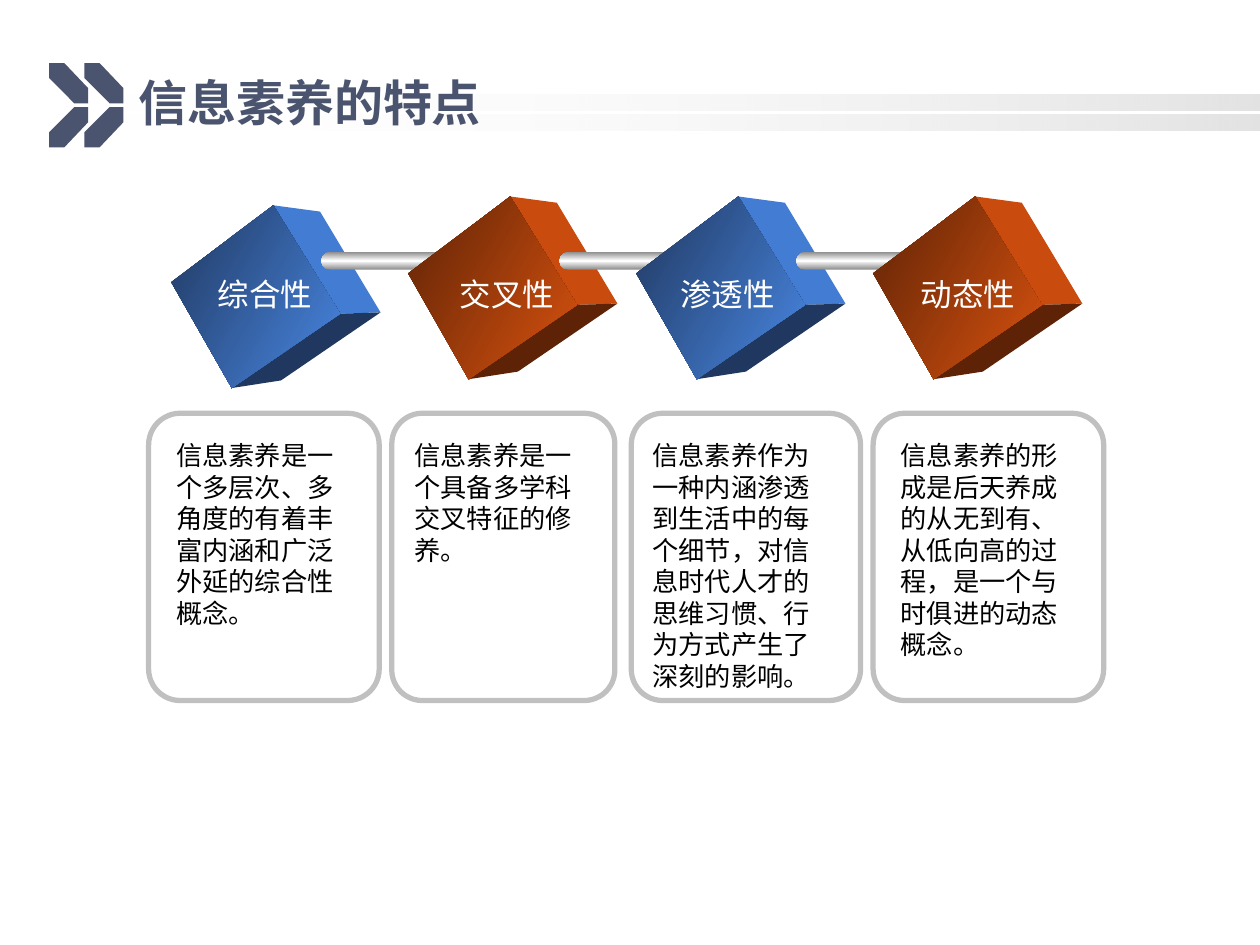
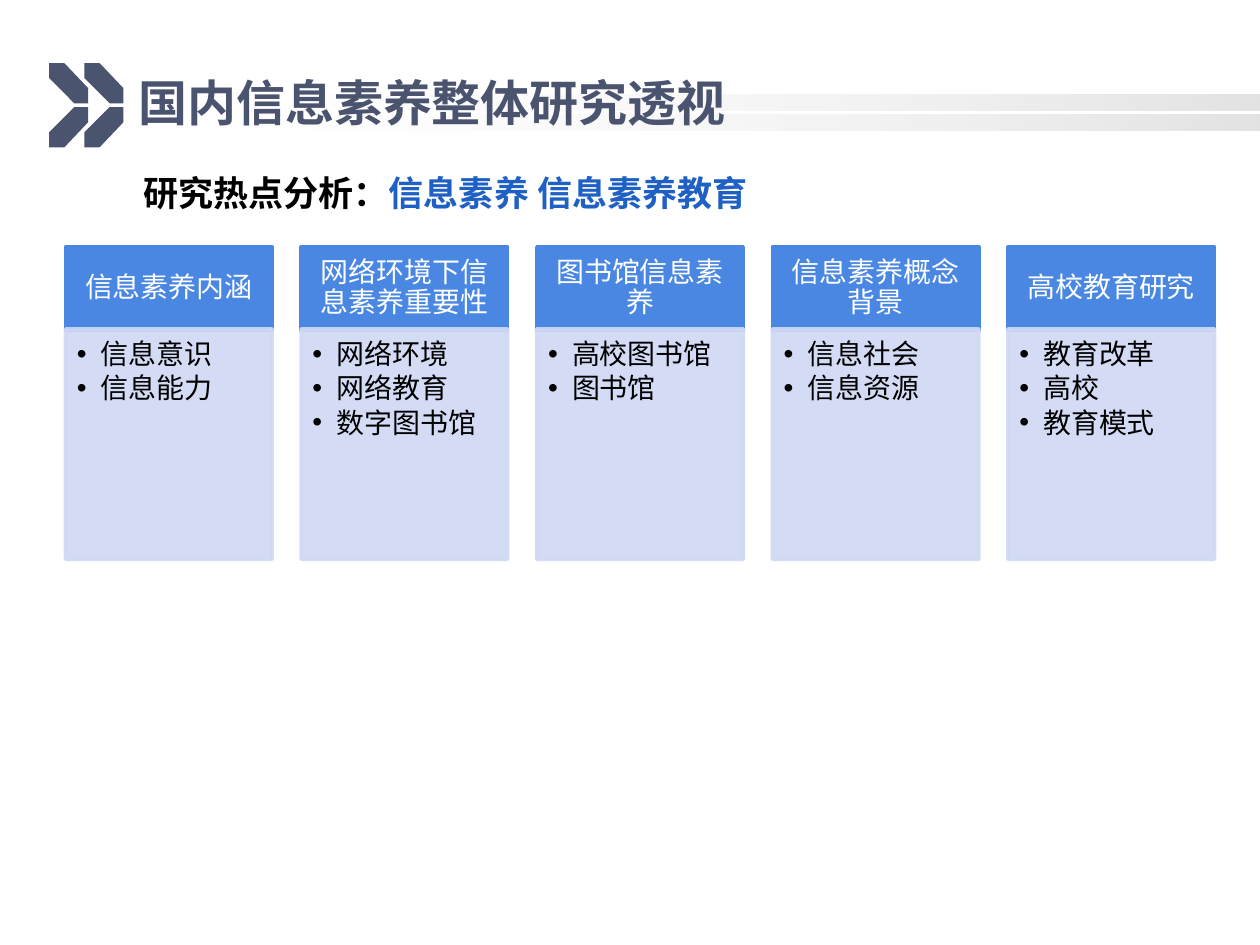
"""Build two slides on information literacy: its traits and its research hot spots."""
from lxml import etree
from pptx import Presentation
from pptx.dml.color import RGBColor
from pptx.enum.shapes import MSO_SHAPE
from pptx.enum.text import MSO_ANCHOR, PP_ALIGN
from pptx.oxml.ns import qn
from pptx.util import Inches, Pt

RECT = MSO_SHAPE.RECTANGLE
ROUND = MSO_SHAPE.ROUNDED_RECTANGLE
TOP, MID = MSO_ANCHOR.TOP, MSO_ANCHOR.MIDDLE
LEFT, CENTER = PP_ALIGN.LEFT, PP_ALIGN.CENTER
SANS, NOTO = "Arial", "Noto Sans CJK SC"

COLORS = {
    "slate": "4B546F", "white": "FFFFFF", "black": "000000", "band": "969696",
    "frame": "C0C0C0", "steel": "8C8C8C", "link": "1E60C3",
    "head": "4987E3", "pale": "D0D9F4",
    "blue": "4987E3", "blue_side": "437DD3", "blue_dark": "20385F",
    "red": "D9520F", "red_side": "C94B0D", "red_dark": "5E2306",
}

TRAITS = [
    {"name": "综合性", "hue": "blue", "cube": (0, 0), "label": 1.63,
     "card": (1.18, 1.83), "note": 1.3, "rod": (2.55, 1.02),
     "text": "信息素养是一个多层次、多角度的有着丰富内涵和广泛外延的综合性概念。"},
    {"name": "交叉性", "hue": "red", "cube": (1.88, -0.07), "label": 3.55,
     "card": (3.11, 1.77), "note": 3.19, "rod": (4.44, 1.01),
     "text": "信息素养是一个具备多学科交叉特征的修养。"},
    {"name": "渗透性", "hue": "blue", "cube": (3.69, -0.07), "label": 5.3,
     "card": (5.01, 1.82), "note": 5.08, "rod": (6.32, 1.33),
     "text": "信息素养作为一种内涵渗透到生活中的每个细节，对信息时代人才的思维习惯、行为方式产生了深刻的影响。"},
    {"name": "动态性", "hue": "red", "cube": (5.57, -0.07), "label": 7.21,
     "card": (6.93, 1.83), "note": 7.05, "rod": None,
     "text": "信息素养的形成是后天养成的从无到有、从低向高的过程，是一个与时俱进的动态概念。"},
]

TOPICS = [
    ("信息素养内涵", ["信息意识", "信息能力"]),
    ("网络环境下信息素养重要性", ["网络环境", "网络教育", "数字图书馆"]),
    ("图书馆信息素养", ["高校图书馆", "图书馆"]),
    ("信息素养概念背景", ["信息社会", "信息资源"]),
    ("高校教育研究", ["教育改革", "高校", "教育模式"]),
]

PEAK, EDGE, FOOT, WEST = (2.17, 1.63), (2.7, 2.49), (1.84, 3.08), (1.36, 2.24)
BACK, EAST, BASE = (2.54, 1.68), (3.02, 2.48), (2.23, 3.02)
ARROW = [(0.39, 0.5), (0.39, 0.62), (0.59, 0.82), (0.7, 0.82), (0.7, 0.7), (0.51, 0.5)]


def rgb(name):
    return RGBColor.from_string(COLORS[name])


def paint(shape, fill=None, line=None, width=1):
    shape.shadow.inherit = False
    if fill:
        shape.fill.solid()
        shape.fill.fore_color.rgb = rgb(fill)
    else:
        shape.fill.background()
    if line:
        shape.line.color.rgb = rgb(line)
        shape.line.width = Pt(width)
    else:
        shape.line.fill.background()
    return shape


def fade(shape, alpha):
    for tint in shape.element.spPr.iter(qn("a:srgbClr")):
        etree.SubElement(tint, qn("a:alpha")).set("val", str(alpha * 1000))


def blend(shape, stops, angle):
    solid = shape.element.spPr.find(qn("a:solidFill"))
    grad = etree.Element(qn("a:gradFill"), rotWithShape="1")
    items = etree.SubElement(grad, qn("a:gsLst"))
    for pos, name, alpha in stops:
        stop = etree.SubElement(items, qn("a:gs"), pos=str(pos * 1000))
        tint = etree.SubElement(stop, qn("a:srgbClr"), val=COLORS[name])
        etree.SubElement(tint, qn("a:alpha"), val=str(alpha * 1000))
    etree.SubElement(grad, qn("a:lin"), ang=str(angle * 60000), scaled="0")
    solid.getparent().replace(solid, grad)


def add_box(slide, kind, x, y, w, h, *style):
    shape = slide.shapes.add_shape(kind, Inches(x), Inches(y), Inches(w), Inches(h))
    return paint(shape, *style)


def add_poly(slide, points, fill):
    spots = [(Inches(x), Inches(y)) for x, y in points]
    pen = slide.shapes.build_freeform(*spots[0], scale=1.0)
    pen.add_line_segments(spots[1:], close=True)
    return paint(pen.convert_to_shape(), fill)


def add_run(para, text, size, color, font=SANS, bold=False):
    run = para.add_run()
    run.text = text
    run.font.size = Pt(size)
    run.font.bold = bold
    run.font.name = font
    run.font.color.rgb = rgb(color)
    etree.SubElement(run.font._element, qn("a:ea"), typeface=NOTO)


def set_frame(shape, anchor=TOP, pads=(0.1, 0.05, 0.1, 0.05), wrap=True):
    frame = shape.text_frame
    frame.word_wrap = wrap
    frame.vertical_anchor = anchor
    (frame.margin_left, frame.margin_top,
     frame.margin_right, frame.margin_bottom) = map(Inches, pads)
    return frame


def add_text(slide, x, y, w, h, runs, anchor=TOP, wrap=True):
    box = slide.shapes.add_textbox(Inches(x), Inches(y), Inches(w), Inches(h))
    para = set_frame(box, anchor, wrap=wrap).paragraphs[0]
    for run in runs:
        add_run(para, *run)


def add_base(deck, title):
    slide = deck.slides.add_slide(deck.slide_layouts[6])
    for y in (0.75, 0.91):
        band = add_box(slide, RECT, 0.75, y, 9.25, 0.13, "band")
        blend(band, [(0, "white", 0), (100, "band", 27)], 0)
    for dx in (0, 0.28):
        add_poly(slide, [(x + dx, y) for x, y in ARROW], "slate")
        add_poly(slide, [(x + dx, 1.67 - y) for x, y in ARROW], "slate")
    add_text(slide, 1, 0.5, 8.25, 0.62, [(title, 28, "slate", SANS, True)], MID)
    return slide


def add_cube(slide, hue, dx, dy):
    faces = [
        ([PEAK, BACK, EAST, EDGE], hue + "_side"),
        ([EDGE, EAST, BASE, FOOT], hue + "_dark"),
        ([PEAK, EDGE, FOOT, WEST], hue),
    ]
    for points, fill in faces:
        face = add_poly(slide, [(x + dx, y + dy) for x, y in points], fill)
    blend(face, [(0, hue + "_dark", 100), (100, hue, 100)], 30)


def add_traits(deck):
    slide = add_base(deck, "信息素养的特点")
    for trait in TRAITS:
        x, w = trait["card"]
        card = add_box(slide, ROUND, x, 3.28, w, 2.28, None, "frame", 3)
        card.adjustments[0] = 0.137
        add_text(slide, trait["note"], 3.44, 1.65, 2.52,
                 [(trait["text"], 15, "black", NOTO)])
    for trait in TRAITS:
        add_cube(slide, trait["hue"], *trait["cube"])
        if trait["rod"]:
            x, w = trait["rod"]
            rod = add_box(slide, ROUND, x, 2, w, 0.14, "steel")
            rod.adjustments[0] = 0.5
            blend(rod, [(0, "steel", 100), (50, "white", 100), (100, "steel", 100)], 90)
    for trait in TRAITS:
        add_text(slide, trait["label"], 2.13, 0.96, 0.4,
                 [(trait["name"], 18, "white")], wrap=False)


def add_topics(deck):
    slide = add_base(deck, "国内信息素养整体研究透视")
    add_text(slide, 1.04, 1.31, 6.8, 0.44,
             [("研究热点分析：", 20, "black", NOTO, True),
              ("信息素养 信息素养教育", 20, "link", NOTO, True)])
    for num, (head, items) in enumerate(TOPICS):
        x = 0.52 + 1.87 * num
        top = add_box(slide, RECT, x, 1.96, 1.64, 0.66, "head", "head", 2)
        para = set_frame(top, MID, (0.12, 0.07, 0.12, 0.07)).paragraphs[0]
        para.alignment = CENTER
        para.line_spacing = 0.9
        add_run(para, head, 16, "white")
        body = add_box(slide, RECT, x, 2.61, 1.64, 1.83, "pale", "pale", 2)
        fade(body, 90)
        frame = set_frame(body, TOP, (0.09, 0.09, 0.12, 0.14))
        for row, item in enumerate(items):
            para = frame.add_paragraph() if row else frame.paragraphs[0]
            para.alignment = LEFT
            para.line_spacing = 0.9
            para.space_after = Pt(2.4)
            props = para._p.get_or_add_pPr()
            props.set("marL", str(Inches(0.19)))
            props.set("indent", str(-Inches(0.19)))
            etree.SubElement(props, qn("a:buFont"), typeface=SANS)
            etree.SubElement(props, qn("a:buChar"), char="•")
            add_run(para, item, 16, "black")


def main():
    deck = Presentation()
    deck.slide_width, deck.slide_height = Inches(10), Inches(7.5)
    add_traits(deck)
    add_topics(deck)
    deck.save("out.pptx")


if __name__ == "__main__":
    main()
